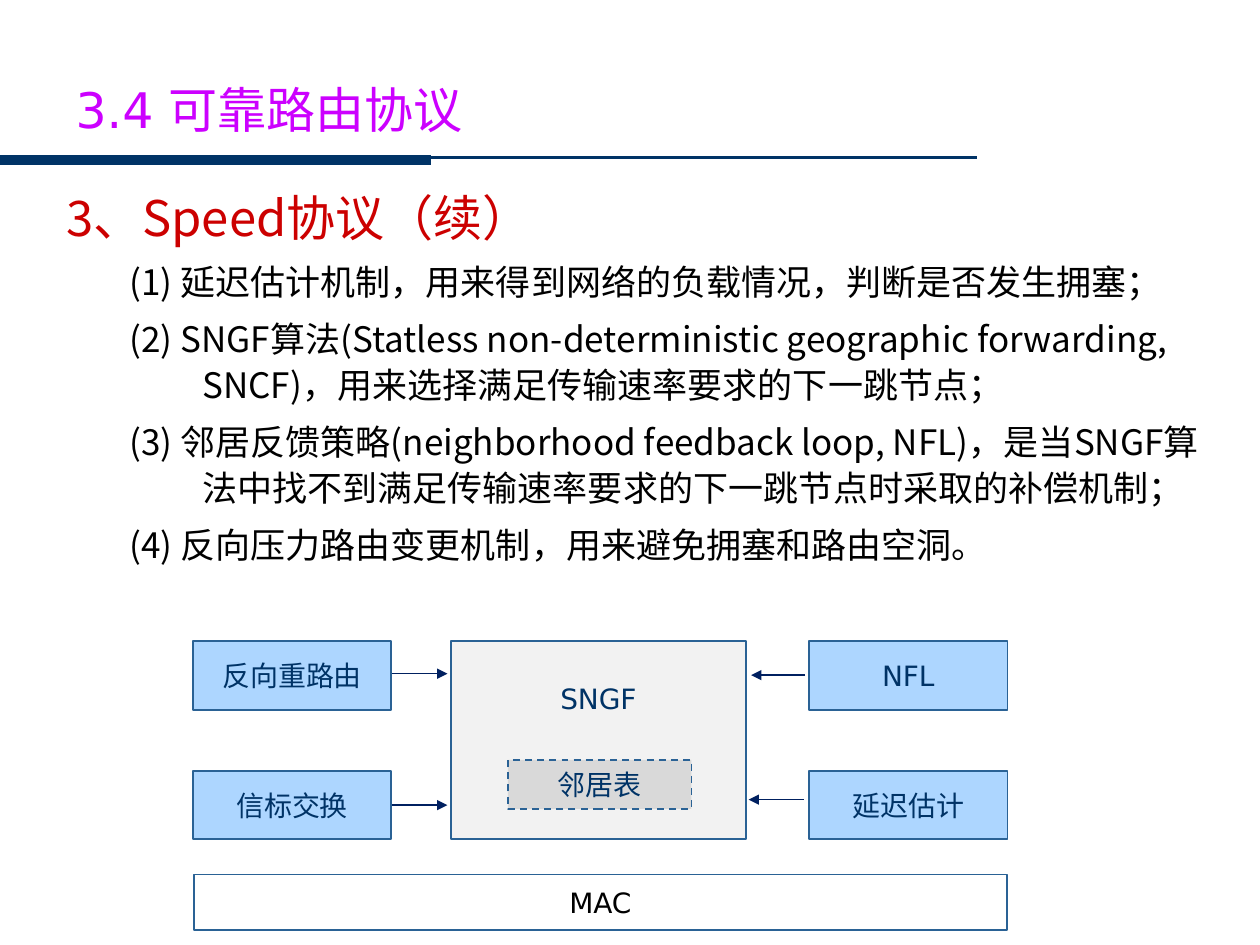
from lxml.etree import SubElement
from pptx import Presentation
from pptx.dml.color import RGBColor
from pptx.enum.dml import MSO_LINE
from pptx.enum.shapes import MSO_CONNECTOR, MSO_SHAPE
from pptx.enum.text import MSO_ANCHOR, MSO_AUTO_SIZE, PP_ALIGN
from pptx.oxml.ns import qn
from pptx.util import Cm, Pt

NAVY, EDGE, ARROW = "003366", "2A6295", "002060"
SANS, CJK = "DejaVu Sans", "Noto Sans CJK SC"


def rgb(value):
    return RGBColor.from_string(value)


class SlideBuilder:
    def __init__(self, prs):
        self.s = prs.slides.add_slide(prs.slide_layouts[5])

    def add_text(self, p, text, size, color, font, **formats):
        """Fill a paragraph with one run; formats are paragraph attributes."""
        for name, value in formats.items():
            setattr(p, name, value)
        r = p.add_run()
        r.text = text
        for name, value in {"size": Pt(size), "name": font, "bold": False}.items():
            setattr(r.font, name, value)
        r.font.color.rgb = rgb(color)
        SubElement(r._r.get_or_add_rPr(), qn("a:ea")).set("typeface", font)

    def indent(self, p, left, first):
        pPr = p._p.get_or_add_pPr()
        for name, value in {"marL": left, "indent": first}.items():
            pPr.set(name, str(Cm(value)))

    def title(self, text, x, y, w, h):
        sp = self.s.shapes.title
        for name, value in {"left": x, "top": y, "width": w, "height": h}.items():
            setattr(sp, name, Cm(value))
        tf = sp.text_frame
        tf.auto_size = MSO_AUTO_SIZE.NONE
        tf.vertical_anchor = MSO_ANCHOR.TOP
        self.add_text(tf.paragraphs[0], text, 28, "CC00FF", SANS, alignment=PP_ALIGN.LEFT)

    def body(self, heading, items, x, y, w, h):
        tf = self.s.shapes.add_textbox(Cm(x), Cm(y), Cm(w), Cm(h)).text_frame
        tf.word_wrap = True
        p = tf.paragraphs[0]
        self.indent(p, 0.97, -0.97)
        self.add_text(p, heading, 28, "CC0000", CJK, line_spacing=1.1)
        for item in items:
            p = tf.add_paragraph()
            self.indent(p, 2.74, -1.47)
            self.add_text(p, item, 20, "000000", CJK, line_spacing=1.1, space_before=Pt(6))

    def box(self, text, x, y, w, h, fill, color=NAVY, dash=None, top=None):
        """Draw a labelled box; top puts the label that far below the upper edge."""
        sp = self.s.shapes.add_shape(MSO_SHAPE.RECTANGLE, Cm(x), Cm(y), Cm(w), Cm(h))
        sp.shadow.inherit = False
        sp.fill.solid()
        sp.fill.fore_color.rgb = rgb(fill)
        sp.line.color.rgb = rgb(EDGE)
        sp.line.width = Pt(1)
        if dash:
            sp.line.dash_style = dash
        tf = sp.text_frame
        tf.vertical_anchor = MSO_ANCHOR.MIDDLE
        if top is not None:
            tf.vertical_anchor = MSO_ANCHOR.TOP
            tf.margin_top = Cm(top)
        self.add_text(tf.paragraphs[0], text, 16, color, SANS, alignment=PP_ALIGN.CENTER)

    def line(self, x1, x2, y, color, width, arrow=False):
        c = self.s.shapes.add_connector(MSO_CONNECTOR.STRAIGHT, Cm(x1), Cm(y), Cm(x2), Cm(y))
        c.line.color.rgb = rgb(color)
        c.line.width = Pt(width)
        spPr = c._element.spPr
        if arrow:
            SubElement(spPr.find(qn("a:ln")), qn("a:tailEnd")).set("type", "triangle")
        SubElement(spPr, qn("a:effectLst"))


def main():
    prs = Presentation()
    prs.slide_width, prs.slide_height = Cm(25.4), Cm(19.05)
    slide = SlideBuilder(prs)

    slide.line(0, 19.69, 3.18, NAVY, 1.5)
    slide.line(0, 8.69, 3.23, NAVY, 6)
    slide.title("3.4 可靠路由协议", 1.27, 1.47, 21.39, 1.57)
    slide.body("3、Speed协议（续）", [
        "(1) 延迟估计机制，用来得到网络的负载情况，判断是否发生拥塞；",
        "(2) SNGF算法(Statless non-deterministic geographic forwarding, SNCF)，"
        "用来选择满足传输速率要求的下一跳节点；",
        "(3) 邻居反馈策略(neighborhood feedback loop, NFL)，是当SNGF算法中"
        "找不到满足传输速率要求的下一跳节点时采取的补偿机制；",
        "(4) 反向压力路由变更机制，用来避免拥塞和路由空洞。",
    ], 1.09, 3.53, 23.6, 8.41)

    left, right, upper, lower = 3.89, 16.31, 12.93, 15.54
    for text, x, y in [("反向重路由", left, upper), ("信标交换", left, lower),
                       ("NFL", right, upper), ("延迟估计", right, lower)]:
        slide.box(text, x, y, 4, 1.38, "ADD6FF")
    slide.box("SNGF", 9.09, upper, 5.95, 3.99, "F2F2F2", top=0.8)
    slide.box("邻居表", 10.24, 15.32, 3.7, 0.99, "D9D9D9", dash=MSO_LINE.DASH)
    slide.box("MAC", 3.91, 17.63, 16.39, 1.12, "FFFFFF", "000000")

    for start, end, y in [(7.9, 9.02, 13.58), (7.9, 9.02, 16.23),
                          (16.23, 15.14, 13.61), (16.2, 15.09, 16.12)]:
        slide.line(start, end, y, ARROW, 0.75, arrow=True)

    prs.save("out.pptx")


if __name__ == "__main__":
    main()
